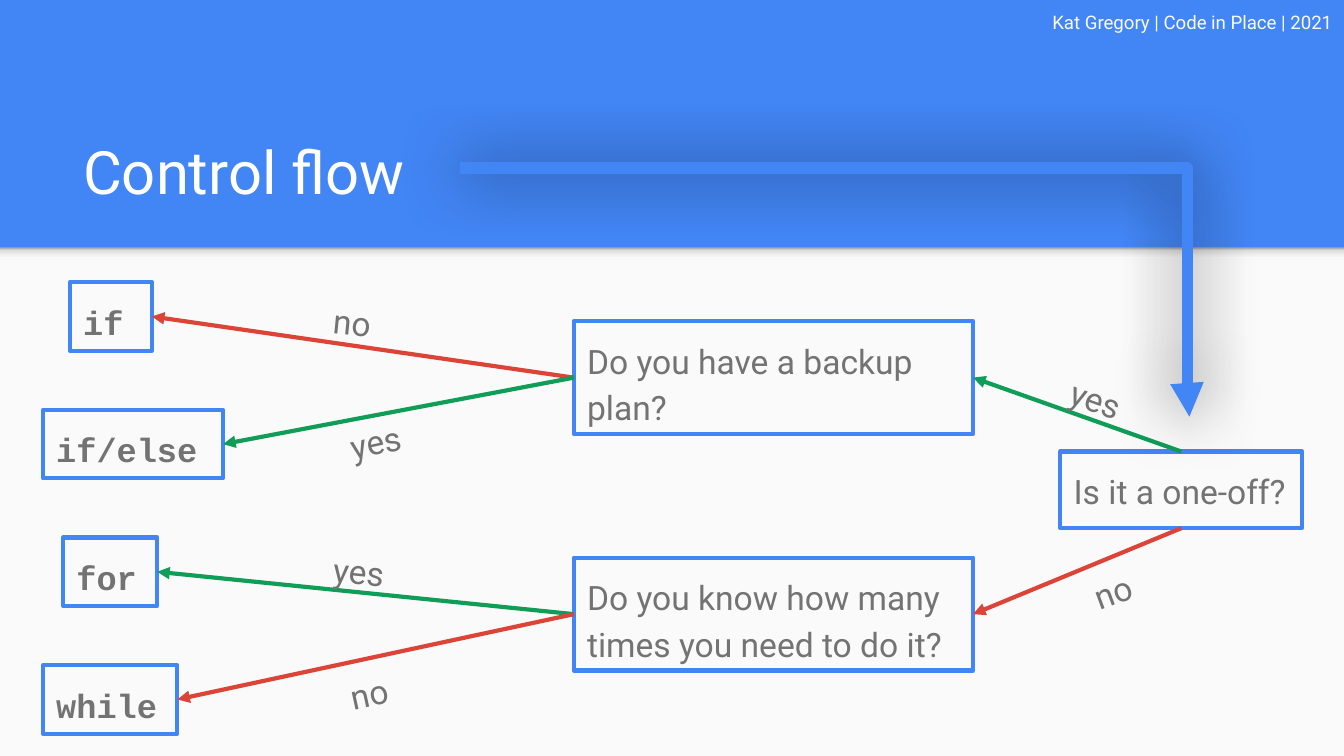
from lxml import etree
from pptx import Presentation, util as u
from pptx.dml.color import RGBColor
from pptx.enum import shapes, text
from pptx.oxml import parse_xml
from pptx.oxml.ns import nsdecls, qn

THEME = {
    "blue": "4285F4", "paper": "FAFAFA", "white": "FFFFFF", "grey": "737373",
    "yes": "0F9D58", "no": "DB4437",
    "sans": "Roboto", "mono": "Courier New",
    "title_size": 32, "body_size": 18, "credit_size": 10,
    "line": 2.25, "thick_line": 6,
}

# Content
TITLE = "Control flow"
CREDIT = "Kat Gregory | Code in Place | 2021"
# name: (words, left, top, width, height)
QUESTIONS = {
    "one-off": ("Is it a one-off?", 7.89, 3.36, 1.8, 0.57),
    "backup": ("Do you have a backup plan?", 4.27, 2.39, 2.97, 0.84),
    "count": ("Do you know how many times you need to do it?", 4.27, 4.15, 2.97, 0.84),
}
# Keywords from top to bottom: (word, left, width)
KEYWORDS = [("if", 0.52, 0.61), ("if/else", 0.32, 1.34),
            ("for", 0.47, 0.7), ("while", 0.32, 1)]
KEYWORD_TOP, KEYWORD_STEP, KEYWORD_HEIGHT = 2.1, 0.95, 0.51
# (from, side, to, answer, label left, label top, label angle)
BRANCHES = [
    ("one-off", "top", "backup", "yes", 7.89, 2.69, 19.9),
    ("one-off", "bottom", "count", "no", 8.01, 4.09, -20.3),
    ("backup", "left", "if", "no", 2.39, 2.11, 5.7),
    ("backup", "left", "if/else", "yes", 2.49, 2.99, -12.3),
    ("count", "left", "for", "yes", 2.39, 3.96, 5.7),
    ("count", "left", "while", "no", 2.49, 4.85, -12.3),
]
LABEL_SIZE = (0.61, 0.44)
SITES = {"top": 0, "left": 1, "bottom": 2, "right": 3}
SHADE = [(0, "F9F9F9"), (36, "F9F9F9"), (80, "DEDEDE"), (100, "999999")]

presentation = Presentation()
presentation.slide_width = u.Inches(10)
presentation.slide_height = presentation.slide_width * 9 // 16
slide = presentation.slides.add_slide(presentation.slide_layouts[6])
slide.background.fill.solid()
slide.background.fill.fore_color.rgb = RGBColor.from_string(THEME["blue"])


def add_rectangle(left, top, width, height, fill=None, line=None):
    shape = slide.shapes.add_shape(
        shapes.MSO_SHAPE.RECTANGLE, *map(u.Inches, (left, top, width, height)))
    shape.shadow.inherit = False
    if fill:
        shape.fill.solid()
        shape.fill.fore_color.rgb = RGBColor.from_string(fill)
    else:
        shape.fill.background()
    if line:
        shape.line.color.rgb = RGBColor.from_string(line)
        shape.line.width = u.Pt(THEME["line"])
    else:
        shape.line.fill.background()
    return shape


def add_text(words, left, top, width, height, *, size=THEME["body_size"],
             font=THEME["sans"], color=THEME["grey"], bold=False, line=None,
             align="LEFT", anchor="TOP", spacing=1.15, rotation=0):
    if line:
        shape = add_rectangle(left, top, width, height, line=line)
    else:
        shape = slide.shapes.add_textbox(*map(u.Inches, (left, top, width, height)))
    shape.rotation = rotation
    frame = shape.text_frame
    frame.word_wrap = True
    frame.vertical_anchor = text.MSO_ANCHOR[anchor]
    frame.margin_left = frame.margin_right = u.Inches(0.1)
    frame.margin_top = frame.margin_bottom = u.Inches(0.1)
    paragraph = frame.paragraphs[0]
    paragraph.alignment = text.PP_ALIGN[align]
    paragraph.line_spacing = spacing
    run = paragraph.add_run()
    run.text = words
    run.font.name, run.font.size, run.font.bold = font, u.Pt(size), bold
    run.font.color.rgb = RGBColor.from_string(color)
    return shape


def add_arrow(color, width, kind="STRAIGHT", start=(0, 0), end=(0, 0)):
    arrow = slide.shapes.add_connector(
        shapes.MSO_CONNECTOR[kind], *map(u.Inches, (*start, *end)))
    arrow.line.color.rgb = RGBColor.from_string(color)
    arrow.line.width = u.Pt(width)
    line = arrow._element.spPr.find(qn("a:ln"))
    etree.SubElement(line, qn("a:tailEnd"), type="triangle")
    effects = etree.SubElement(arrow._element.spPr, qn("a:effectLst"))
    return arrow, effects


# Page below the header, with the shade along its top edge
add_rectangle(0, 1.84, 10, 3.79, fill=THEME["paper"])
shade = add_rectangle(0, 1.84, 10, 0.12, fill=THEME["paper"])
stops = "".join(f'<a:gs pos="{place * 1000}"><a:srgbClr val="{color}"/></a:gs>'
                for place, color in SHADE)
properties = shade._element.spPr
properties.replace(properties.find(qn("a:solidFill")), parse_xml(
    f'<a:gradFill {nsdecls("a")}><a:gsLst>{stops}</a:gsLst>'
    f'<a:lin ang="{270 * 60000}" scaled="0"/></a:gradFill>'))

# Header
add_text(TITLE, 0.52, 0.8, 8.99, 0.84, size=THEME["title_size"],
         color=THEME["white"], anchor="BOTTOM", spacing=1)

# Question and keyword boxes
boxes = {name: add_text(*question, line=THEME["blue"])
         for name, question in QUESTIONS.items()}
for row, (word, left, width) in enumerate(KEYWORDS):
    boxes[word] = add_text(word, left, KEYWORD_TOP + row * KEYWORD_STEP, width,
                           KEYWORD_HEIGHT, font=THEME["mono"], bold=True,
                           line=THEME["blue"])

# Answers: arrows joined to the boxes, and their labels
for source, side, target, answer, left, top, angle in BRANCHES:
    arrow, _ = add_arrow(THEME[answer], THEME["line"])
    arrow.begin_connect(boxes[source], SITES[side])
    arrow.end_connect(boxes[target], SITES["right"])
    add_text(answer, left, top, *LABEL_SIZE, rotation=angle)

# Entry arrow from the title to the first question
entry, effects = add_arrow(THEME["blue"], THEME["thick_line"], "ELBOW",
                           (3.42, 1.25), (8.85, 3.1))
guides = entry._element.spPr.find(qn("a:prstGeom")).get_or_add_avLst()
etree.SubElement(guides, qn("a:gd"), name="adj1", fmla="val 99700")
shadow = etree.SubElement(effects, qn("a:outerShdw"), blurRad=str(u.Pt(33.8)),
                          dist=str(u.Pt(0.8)), dir=str(90 * 60000),
                          algn="bl", rotWithShape="0")
shadow_color = etree.SubElement(shadow, qn("a:srgbClr"), val="000000")
etree.SubElement(shadow_color, qn("a:alpha"), val="81000")

# Credit
add_text(CREDIT, 0.01, 0, 10, 0.28, size=THEME["credit_size"],
         color=THEME["paper"], align="RIGHT", spacing=1)

presentation.save("out.pptx")
